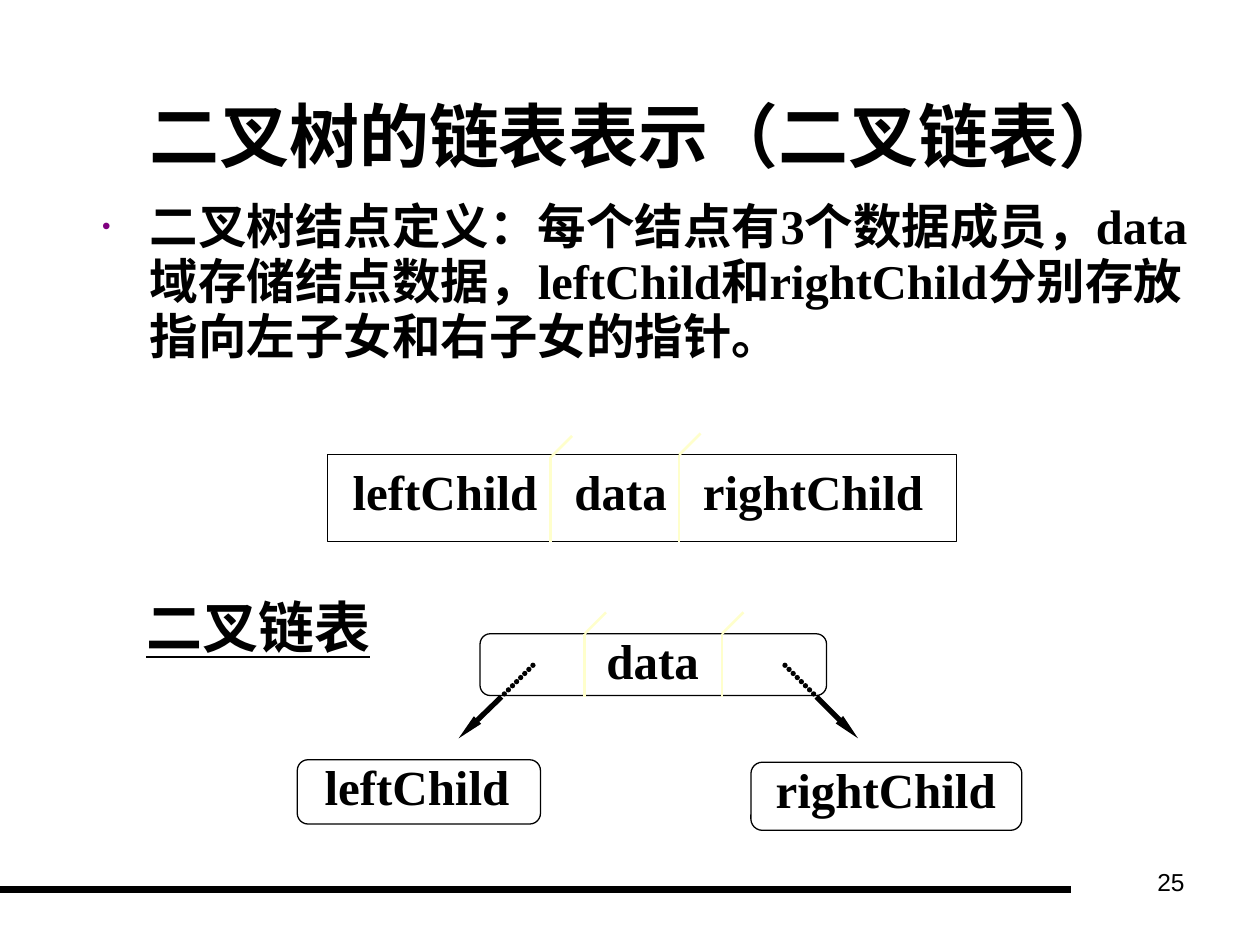
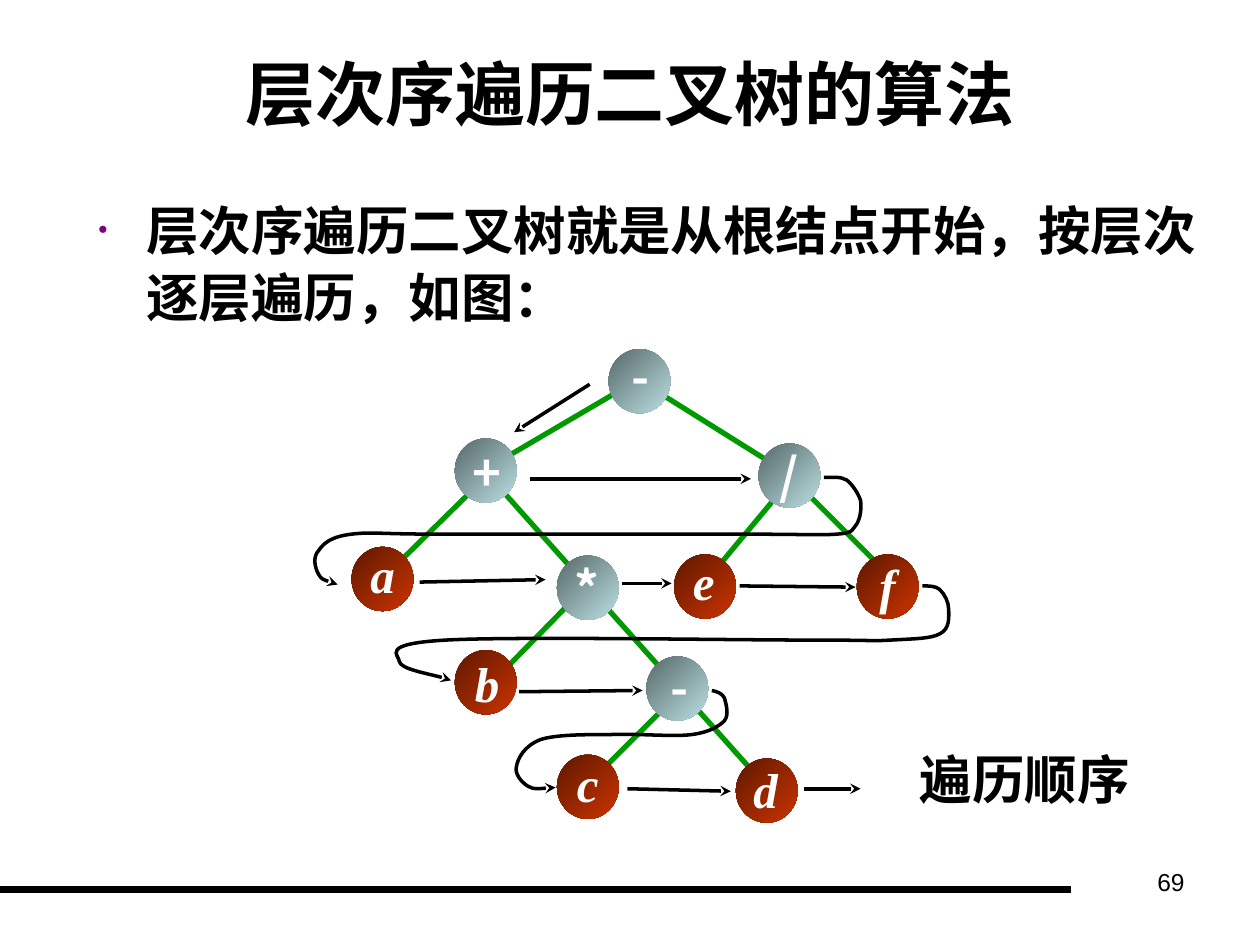
import lxml.etree
import pptx
import pptx.dml.color
import pptx.enum.shapes
import pptx.enum.text
import pptx.oxml.ns
import pptx.util

RGB = pptx.dml.color.RGBColor
SHAPE = pptx.enum.shapes.MSO_SHAPE
ALIGN = pptx.enum.text.PP_ALIGN
ANCHOR = pptx.enum.text.MSO_ANCHOR
qn = pptx.oxml.ns.qn

BLACK = RGB(0x00, 0x00, 0x00)
WHITE = RGB(0xFF, 0xFF, 0xFF)
CREAM = RGB(0xFF, 0xFF, 0xCC)
GREEN = RGB(0x00, 0x99, 0x00)
PURPLE = RGB(0x80, 0x00, 0x80)
OPERATOR = (RGB(0x57, 0x68, 0x69), RGB(0xBB, 0xE0, 0xE3))
OPERAND = (RGB(0x5E, 0x18, 0x00), RGB(0xCC, 0x33, 0x00))

SANS, SERIF, CJK = "Arial", "Times New Roman", "Noto Sans CJK SC"
SLIDE_W, SLIDE_H = pptx.util.Inches(10), pptx.util.Inches(7.5)
COLS, ROWS = 10, 7.5
NODE_W, NODE_H = 0.49, 0.51
LABEL_H = 0.57

OPERATORS = [("-", 4.83, 2.77, 4.91, 2.7), ("+", 3.61, 3.48, 3.65, 3.46),
             ("/", 6.02, 3.52, 6.09, 3.49), ("*", 4.42, 4.41, 4.46, 4.38),
             ("-", 5.13, 5.21, 5.22, 5.17)]
OPERANDS = [("a", 2.79, 4.34, 2.84, 4.27), ("b", 3.61, 5.16, 3.67, 5.14),
            ("c", 4.42, 5.99, 4.48, 5.93), ("d", 5.84, 6.02, 5.88, 5.98),
            ("e", 5.35, 4.4, 5.4, 4.33), ("f", 6.8, 4.4, 6.88, 4.36)]
BRANCHES = [(4.97, 3.07, 3.98, 3.65), (3.75, 3.89, 3.17, 4.46), (4, 3.91, 5.99, 6.14),
            (4.52, 4.79, 4, 5.32), (5.29, 5.6, 4.73, 6.16), (6.18, 3.92, 5.68, 4.52),
            (5.22, 3.11, 6.13, 3.68), (6.4, 3.91, 6.98, 4.49)]
VISITS = [(4.68, 3.05, 4.08, 3.43), (4.21, 3.8, 5.96, 3.8), (3.33, 4.62, 4.33, 4.6),
          (4.94, 4.63, 5.33, 4.63), (5.87, 4.65, 6.79, 4.66), (4.12, 5.49, 5.1, 5.48),
          (4.98, 6.26, 5.8, 6.28), (6.38, 6.26, 6.83, 6.26)]
LEVEL_TURNS = [
    [(6.54, 3.79), (6.6, 3.79), (6.67, 3.78), (6.72, 3.81), (6.76, 3.84), (6.81, 3.91),
     (6.83, 3.97), (6.84, 4.03), (6.83, 4.11), (6.8, 4.16), (6.76, 4.2), (6.79, 4.23),
     (6.64, 4.24), (6.49, 4.25), (6.41, 4.24), (5.89, 4.24), (5.37, 4.24), (4.03, 4.24),
     (3.51, 4.24), (2.99, 4.24), (2.96, 4.22), (2.79, 4.24), (2.63, 4.26), (2.57, 4.31),
     (2.53, 4.37), (2.48, 4.42), (2.5, 4.51), (2.53, 4.56), (2.55, 4.6), (2.64, 4.63),
     (2.68, 4.64)],
    [(7.32, 4.65), (7.37, 4.65), (7.43, 4.65), (7.46, 4.68), (7.5, 4.72), (7.53, 4.78),
     (7.53, 4.84), (7.53, 4.9), (7.54, 4.99), (7.46, 5.03), (7.39, 5.07), (7.25, 5.07),
     (7.07, 5.08), (6.89, 5.09), (7, 5.08), (6.41, 5.08), (5.82, 5.08), (4.08, 5.05),
     (3.54, 5.08), (3, 5.11), (3.17, 5.2), (3.17, 5.25), (3.18, 5.31), (3.52, 5.37),
     (3.58, 5.4)],
    [(5.65, 5.48), (5.69, 5.49), (5.73, 5.5), (5.75, 5.54), (5.76, 5.58), (5.79, 5.67),
     (5.75, 5.72), (5.71, 5.76), (5.64, 5.81), (5.49, 5.83), (5.34, 5.85), (5.05, 5.82),
     (4.84, 5.83), (4.64, 5.83), (4.41, 5.83), (4.29, 5.87), (4.16, 5.92), (4.11, 6.02),
     (4.1, 6.08), (4.08, 6.14), (4.14, 6.21), (4.19, 6.24), (4.24, 6.27), (4.38, 6.25),
     (4.41, 6.25)],
]


def grid(*cells):
    """Turn alternating column and row counts into slide lengths."""
    units = (SLIDE_W / COLS, SLIDE_H / ROWS)
    return [round(n * units[i % 2]) for i, n in enumerate(cells)]


def add_run(p, text, size, font=SERIF, color=BLACK, bold=True, italic=None, underline=None):
    """Add one formatted run to a paragraph."""
    r = p.add_run()
    r.text = text
    f = r.font
    f.size, f.name, f.bold, f.italic, f.underline = pptx.util.Pt(size), font, bold, italic, underline
    f.color.rgb = color


def add_text(tree, box, text, size, align=ALIGN.LEFT, anchor=ANCHOR.TOP, wrap=True, tabs=(), **style):
    """Add a text box holding one run."""
    tf = tree.add_textbox(*grid(*box)).text_frame
    tf.word_wrap, tf.vertical_anchor = wrap, anchor
    p = tf.paragraphs[0]
    p.alignment = align
    if tabs:
        stops = lxml.etree.SubElement(p._p.get_or_add_pPr(), qn("a:tabLst"))
        for tab in tabs:
            lxml.etree.SubElement(stops, qn("a:tab"), pos=str(pptx.util.Inches(tab)), algn="l")
    add_run(p, text, size, **style)


def add_label(tree, cx, cy, text, width, size=28, **style):
    """Add a label centred on a point."""
    box = (cx - width / 2, cy - LABEL_H / 2, width, LABEL_H)
    add_text(tree, box, text, size, ALIGN.CENTER, ANCHOR.MIDDLE, False, **style)


def style_line(sp, color, width, tail=None, w="med", length="med"):
    """Colour a line and optionally put an arrowhead at its end."""
    sp.line.color.rgb = color
    sp.line.width = pptx.util.Pt(width)
    if tail:
        ln = sp._element.spPr.find(qn("a:ln"))
        lxml.etree.SubElement(ln, qn("a:tailEnd"), type=tail, w=w, len=length)


def add_line(tree, ends, color, width, dotted=False, **arrow):
    """Add a straight line between two grid points."""
    sp = tree.add_connector(pptx.enum.shapes.MSO_CONNECTOR.STRAIGHT, *grid(*ends))
    style_line(sp, color, width, **arrow)
    if dotted:
        ln = sp._element.spPr.find(qn("a:ln"))
        ln.set("cap", "rnd")
        dash = lxml.etree.SubElement(ln, qn("a:custDash"))
        lxml.etree.SubElement(dash, qn("a:ds"), d="100000", sp="10000")
    lxml.etree.SubElement(sp._element.spPr, qn("a:effectLst"))


def add_box(tree, kind, box):
    """Add a white box with a thin black outline."""
    sp = tree.add_shape(kind, *grid(*box))
    sp.shadow.inherit = False
    sp.fill.solid()
    sp.fill.fore_color.rgb = WHITE
    style_line(sp, BLACK, 0.75)


def add_divider(tree, x, top, bottom):
    """Add a field divider with a slanted tip."""
    add_line(tree, (x, bottom, x, top), CREAM, 1.5)
    add_line(tree, (x, top, x + 0.17, top - 0.17), CREAM, 1.5)


def add_pointer(tree, start, bend, end):
    """Add a child pointer: dotted inside its node, then an arrow."""
    add_line(tree, bend + end, BLACK, 3, tail="triangle", w="sm", length="lg")
    add_line(tree, start + bend, BLACK, 3, dotted=True)


def add_node(tree, left, top, colors):
    """Add a round tree node with a diagonal gradient."""
    sp = tree.add_shape(SHAPE.OVAL, *grid(left, top, NODE_W, NODE_H))
    sp.shadow.inherit = False
    sp.line.fill.background()
    sp.fill.gradient()
    sp.fill.gradient_angle = 315
    for i, color in enumerate(colors):
        stop = sp.fill.gradient_stops[i]
        stop.color.rgb, stop.position = color, i


def add_turn(tree, controls):
    """Add a curved arrow whose control points form a chain of cubic curves."""
    builder = tree.build_freeform(*grid(*controls[0]))
    builder.add_line_segments([grid(*point) for point in controls[1:]], close=False)
    sp = builder.convert_to_shape()
    segments = list(sp._element.iter(qn("a:lnTo")))
    for i in range(0, len(segments), 3):
        curve = segments[i]
        curve.tag = qn("a:cubicBezTo")
        for segment in segments[i + 1:i + 3]:
            curve.append(segment[0])
            segment.getparent().remove(segment)
    sp.shadow.inherit = False
    sp.fill.background()
    style_line(sp, BLACK, 2, tail="stealth")


def place(sp, box, anchor):
    """Move a placeholder and return its first paragraph."""
    sp.left, sp.top, sp.width, sp.height = grid(*box)
    tf = sp.text_frame
    tf.auto_size = pptx.enum.text.MSO_AUTO_SIZE.NONE
    tf.word_wrap, tf.vertical_anchor = True, anchor
    return tf.paragraphs[0]


def add_bullet(p):
    """Give a paragraph a small purple bullet and a hanging indent."""
    pPr = p._p.get_or_add_pPr()
    indent = pptx.util.Inches(0.38)
    pPr.set("marL", str(indent))
    pPr.set("indent", str(-indent))
    color = lxml.etree.SubElement(pPr, qn("a:buClr"))
    lxml.etree.SubElement(color, qn("a:srgbClr"), val=str(PURPLE))
    lxml.etree.SubElement(pPr, qn("a:buSzPct"), val="50000")
    lxml.etree.SubElement(pPr, qn("a:buChar"), char="•")


def add_slide(prs, number, title, title_box, body, body_box, size, spacing):
    """Add a slide with title, bulleted text, bottom rule and number."""
    s = prs.slides.add_slide(prs.slide_layouts[1])
    add_line(s.shapes, (0, 7.06, 8.5, 7.06), BLACK, 4.5)
    add_text(s.shapes, (7.17, 6.83, 2.33, 0.52), number, 14, ALIGN.RIGHT, font=SANS, bold=False)
    p = place(s.shapes.title, title_box, ANCHOR.MIDDLE)
    p.alignment = ALIGN.CENTER
    add_run(p, title, 40, font=SANS)
    p = place(s.placeholders[1], body_box, ANCHOR.TOP)
    add_bullet(p)
    p.line_spacing, p.space_before = spacing, pptx.util.Pt(0)
    add_run(p, body, size)
    return s


def draw_record(tree):
    """Draw the three fields of a node record."""
    add_box(tree, SHAPE.RECTANGLE, (2.6, 3.61, 4.99, 0.69))
    add_text(tree, (2.7, 3.61, 4.85, LABEL_H), "leftChild\tdata\trightChild", 28,
             anchor=ANCHOR.MIDDLE, tabs=(1.76, 2.78))
    add_divider(tree, 4.37, 3.63, 4.3)
    add_divider(tree, 5.39, 3.61, 4.3)


def draw_linked_node(tree):
    """Draw a node with pointers to its two children."""
    for box in ((3.81, 5.03, 2.75, 0.49), (5.96, 6.05, 2.15, 0.54), (2.36, 6.03, 1.93, 0.51)):
        add_box(tree, SHAPE.ROUNDED_RECTANGLE, box)
    for cx, cy, name, width in ((5.18, 5.24, "data", 1), (3.31, 6.24, "leftChild", 1.7),
                                (7.03, 6.26, "rightChild", 2)):
        add_label(tree, cx, cy, name, width)
    for x in (5.73, 4.64):
        add_divider(tree, x, 5.03, 5.53)
    add_pointer(tree, (4.23, 5.28), (3.98, 5.53), (3.64, 5.86))
    add_pointer(tree, (6.23, 5.28), (6.48, 5.53), (6.81, 5.86))


def draw_traversal(tree):
    """Draw the expression tree and its level-order visits."""
    for ends in BRANCHES:
        add_line(tree, ends, GREEN, 3)
    kinds = ((OPERANDS, OPERAND, SERIF, True), (OPERATORS, OPERATOR, CJK, None))
    for nodes, colors, _, _ in kinds:
        for _, left, top, _, _ in nodes:
            add_node(tree, left, top, colors)
    for nodes, _, font, italic in kinds:
        for name, _, _, left, top in nodes:
            add_text(tree, (left, top, 0.42, LABEL_H), name, 28, wrap=False,
                     font=font, color=WHITE, italic=italic)
    for ends in VISITS:
        add_line(tree, ends, BLACK, 2, tail="stealth")
    for controls in LEVEL_TURNS:
        add_turn(tree, controls)


def main():
    """Build both slides and save them."""
    prs = pptx.Presentation()
    prs.slide_width, prs.slide_height = SLIDE_W, SLIDE_H

    s = add_slide(prs, "25", "二叉树的链表表示（二叉链表）", (0.57, 0.52, 9, 1.1),
                  "二叉树结点定义：每个结点有3个数据成员，data域存储结点数据，"
                  "leftChild和rightChild分别存放指向左子女和右子女的指针。",
                  (0.71, 1.54, 8.86, 1.73), 27.7, 0.95)
    draw_record(s.shapes.add_group_shape().shapes)
    draw_linked_node(s.shapes.add_group_shape().shapes)
    add_label(s.shapes, 2.05, 4.97, "二叉链表", 1.98, 32, underline=True)

    s = add_slide(prs, "69", "层次序遍历二叉树的算法", (0.5, 0.3, 9, 0.87),
                  "层次序遍历二叉树就是从根结点开始，按层次逐层遍历，如图：",
                  (0.68, 1.5, 9, 4.25), 30, 1.05)
    add_text(s.shapes, (7.2, 5.88, 2.25, 0.6), "遍历顺序", 30)
    draw_traversal(s.shapes.add_group_shape().shapes)

    prs.save("out.pptx")


if __name__ == "__main__":
    main()
